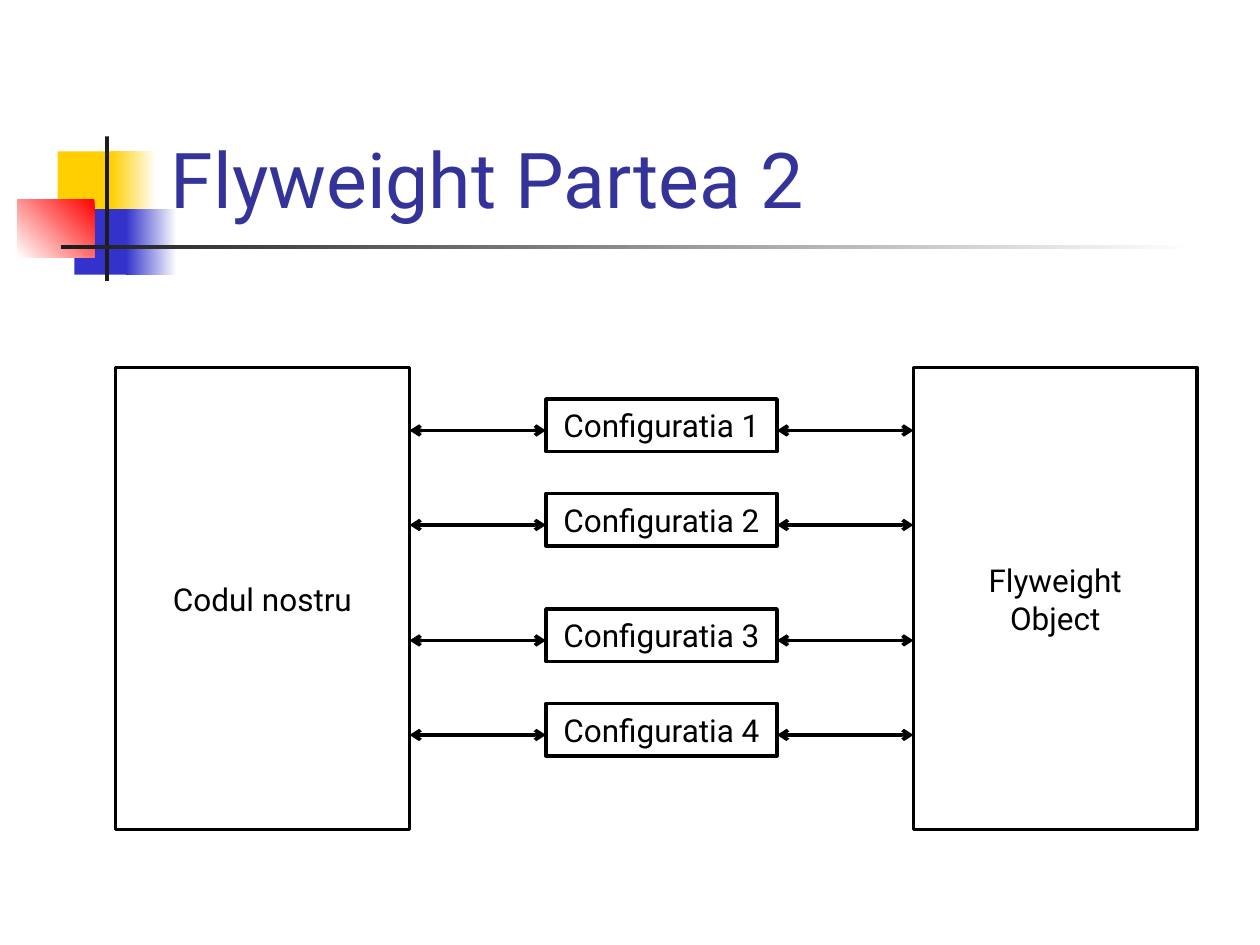
import pptx
import pptx.dml.color
import pptx.enum.shapes
import pptx.enum.text
import pptx.oxml
import pptx.oxml.ns
import pptx.util
from lxml import etree

Pt = pptx.util.Pt
RGB = pptx.dml.color.RGBColor.from_string
ALIGN = pptx.enum.text.PP_ALIGN
ANCHOR = pptx.enum.text.MSO_ANCHOR
FONT = "Roboto"
COLORS = {
    "white": "FFFFFF",
    "black": "000000",
    "yellow": "FFCF01",
    "blue": "3333CC",
    "red": "FF0000",
    "dark": "1C1C1C",
    "title": "333399",
}

deck = pptx.Presentation()
deck.slide_width, deck.slide_height = Pt(720), Pt(540)
slide = deck.slides.add_slide(deck.slide_layouts[6])


def add_rectangle(left, top, width, height):
    rectangle = slide.shapes.add_shape(
        pptx.enum.shapes.MSO_SHAPE.RECTANGLE, Pt(left), Pt(top), Pt(width), Pt(height))
    rectangle.shadow.inherit = False
    return rectangle


def add_node(lines, left, top, width, height):
    """Add an outlined, unfilled box with centred text."""
    node = add_rectangle(left, top, width, height)
    node.fill.background()
    node.line.color.rgb = RGB(COLORS["black"])
    node.line.width = Pt(2)
    frame = node.text_frame
    frame.word_wrap = False
    frame.vertical_anchor = ANCHOR.MIDDLE
    frame.text = lines
    for paragraph in frame.paragraphs:
        paragraph.alignment = ALIGN.CENTER
        paragraph.font.name = FONT
        paragraph.font.size = Pt(18)
        paragraph.font.color.rgb = RGB(COLORS["black"])


# Corner ornament: position, first colour, optional second colour, gradient angle
ornament = [
    ((33, 86.5, 34.5, 37.5), "yellow", None, 0),
    ((63.5, 86.5, 26, 37.5), "white", "yellow", 180),
    ((42.5, 119.5, 33, 37.5), "blue", None, 0),
    ((72, 119.5, 29, 37.5), "white", "blue", 180),
    ((10, 113.75, 44, 33.25), "red", "white", 225),
    ((60, 78, 2.25, 82.5), "dark", None, 0),
    ((34.75, 140.25, 648, 2.25), "white", "dark", 180),
]
for position, start, end, angle in ornament:
    piece = add_rectangle(*position)
    piece.line.fill.background()
    if end:
        piece.fill.gradient()
        piece.fill.gradient_angle = angle
        for stop, color in zip(piece.fill.gradient_stops, (start, end)):
            stop.color.rgb = RGB(COLORS[color])
    else:
        piece.fill.solid()
        piece.fill.fore_color.rgb = RGB(COLORS[start])

title = slide.shapes.add_textbox(Pt(90.5), Pt(16.5), Pt(613.5), Pt(115.25)).text_frame
title.word_wrap = True
title.vertical_anchor = ANCHOR.BOTTOM
title.text = "Flyweight Partea 2"
title_font = title.paragraphs[0].runs[0].font
title_font.name = FONT
title_font.size = Pt(44)
title_font.color.rgb = RGB(COLORS["title"])

code_left, code_width = 66, 168
config_left, config_width = 312, 132
object_left, object_width = 522, 162
config_tops = [228, 282, 348, 402]
arrow_drop = 18  # arrows run slightly below the middle of each configuration

add_node("Codul nostru", code_left, 210, code_width, 264)
add_node("Flyweight\nObject", object_left, 210, object_width, 264)

for number, top in enumerate(config_tops, start=1):
    add_node(f"Configuratia {number}", config_left, top, config_width, 30)
    y = top + arrow_drop
    for start_x, end_x in ((code_left + code_width, config_left),
                           (config_left + config_width, object_left)):
        arrow = slide.shapes.add_connector(
            pptx.enum.shapes.MSO_CONNECTOR.STRAIGHT, Pt(start_x), Pt(y), Pt(end_x), Pt(y))
        arrow.line.color.rgb = RGB(COLORS["black"])
        arrow.line.width = Pt(2)
        outline = arrow.line._get_or_add_ln()
        for tip in ("a:headEnd", "a:tailEnd"):
            etree.SubElement(outline, pptx.oxml.ns.qn(tip), type="arrow")
        etree.SubElement(arrow._element.spPr, pptx.oxml.ns.qn("a:effectLst"))

deck.save("out.pptx")
